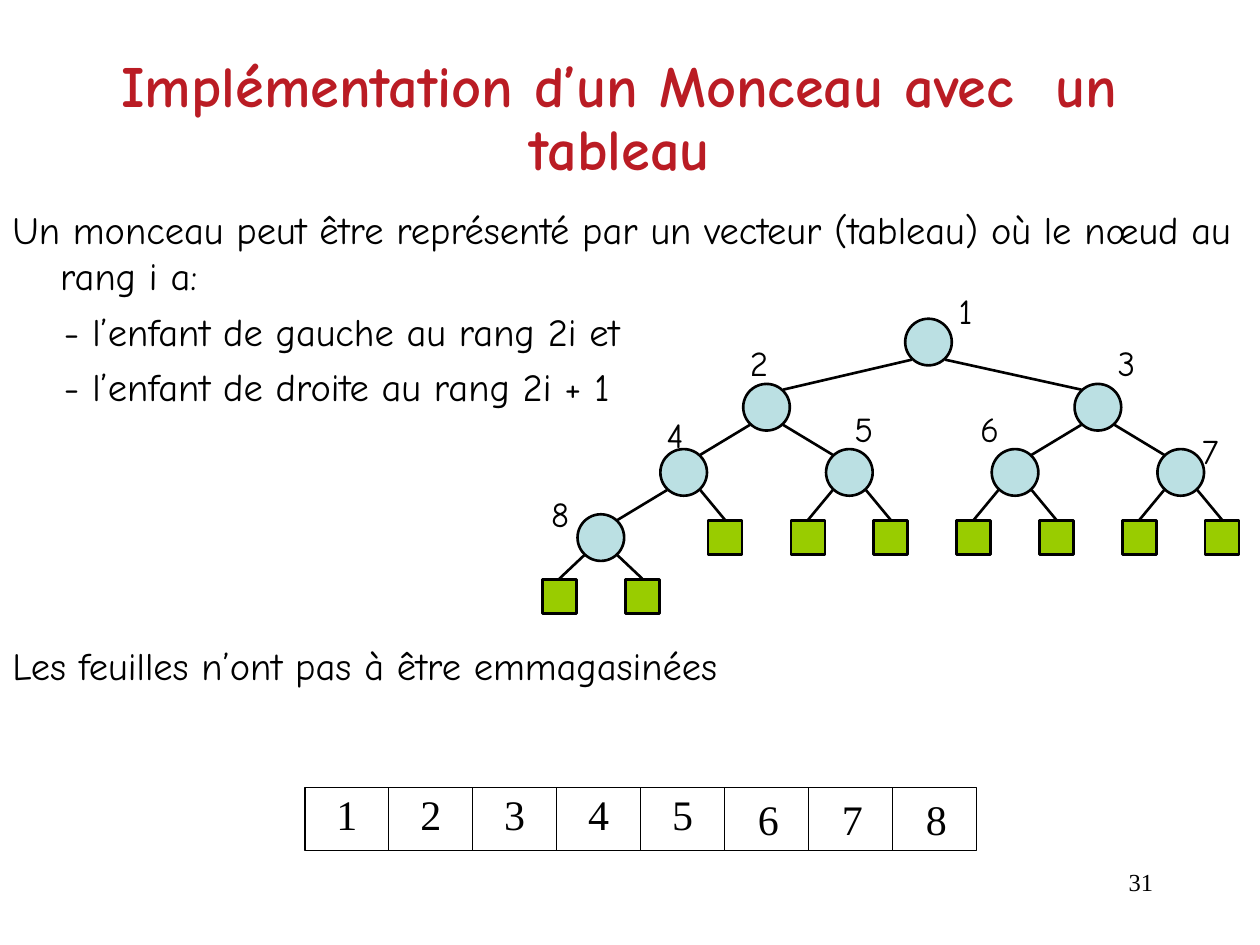
from pptx import Presentation
from pptx.dml.color import RGBColor
from pptx.enum.shapes import MSO_CONNECTOR, MSO_SHAPE
from pptx.enum.text import MSO_ANCHOR, MSO_AUTO_SIZE, PP_ALIGN
from pptx.oxml.ns import qn
from pptx.util import Inches, Pt
from lxml.etree import SubElement

WIDE, HIGH = 10, 7.5
BLACK = RGBColor(0, 0, 0)
RED = RGBColor(0xBA, 0x1C, 0x24)
BLUE = RGBColor(0xBB, 0xE0, 0xE3)
GREEN = RGBColor(0x99, 0xCC, 0x00)
COMIC, TIMES = "Comic Neue", "Times New Roman"

TITLE = "Implémentation d’un Monceau avec  un tableau"
BODY = [
    ("Un monceau peut être représenté par un vecteur (tableau) "
     "où le nœud au rang i a:", 0.38, -0.38, 0),
    ("- l’enfant de gauche au rang 2i et", 0.41, 0, 5.5),
    ("- l’enfant de droite au rang 2i + 1", 0.41, 0, 5.5),
    ("Les feuilles n’ont pas à être emmagasinées", 0.38, -0.38, 133),
]
COUNT = 8
COLS = [8.91, 5, 13, 3, 7, 11, 15, 1, 4, 6, 8, 10, 12, 14, 16, 0, 2]
ROWS = [0, 1, 2, 3, 3.9]
TAGS = [(0.43, -0.9), (-0.7, -1.11), (0.18, -1.11), (-0.71, -1),
        (-0.18, -1.09), (-1.14, -1.09), (0.21, -0.76), (-1.5, -0.79)]


def put(item, **vals):
    """Set each given attribute on the item."""
    for name, val in vals.items():
        setattr(item, name, val)


def ink(para, face, size, color=BLACK, bold=False):
    """Format the font of a paragraph."""
    put(para.font, name=face, size=Pt(size), bold=bold)
    para.font.color.rgb = color


def share(left, top, width, height):
    """Turn shares of the slide into a box in inches."""
    return left * WIDE, top * HIGH, width * WIDE, height * HIGH


def emu(box):
    """Turn a box in inches into lengths."""
    return [Inches(val) for val in box]


def label(slide, box, text, face, size, align=PP_ALIGN.LEFT, wrap=False):
    """Add one line of text in the box."""
    frame = slide.shapes.add_textbox(*emu(box)).text_frame
    frame.word_wrap = wrap
    para = frame.paragraphs[0]
    put(para, text=text, alignment=align)
    ink(para, face, size)


def shape(slide, kind, box, weight, fill=None):
    """Add an outlined preset shape in the box."""
    item = slide.shapes.add_shape(kind, *emu(box))
    item.shadow.inherit = False
    if fill is None:
        item.fill.background()
    else:
        item.fill.solid()
        item.fill.fore_color.rgb = fill
    item.line.color.rgb = BLACK
    item.line.width = Pt(weight)
    return item


def edge(slide, start, end):
    """Join two points with a line."""
    line = slide.shapes.add_connector(
        MSO_CONNECTOR.STRAIGHT, *emu((*start, *end)))
    SubElement(line._element.spPr, qn("a:effectLst"))
    line.line.color.rgb = BLACK
    line.line.width = Pt(1.5)


def head(slide, box):
    """Place and format the title."""
    title = slide.shapes.title
    put(title, **dict(zip(("left", "top", "width", "height"), emu(box))))
    frame = title.text_frame
    put(frame, text=TITLE, word_wrap=True, auto_size=MSO_AUTO_SIZE.NONE,
        vertical_anchor=MSO_ANCHOR.MIDDLE)
    para = frame.paragraphs[0]
    put(para, alignment=PP_ALIGN.CENTER, line_spacing=0.9, space_before=Pt(0))
    ink(para, COMIC, 33.3, RED, True)


def body(slide, box):
    """Write the paragraphs of the text."""
    frame = slide.shapes.add_textbox(*emu(box)).text_frame
    frame.word_wrap = True
    for num, (text, left, first, gap) in enumerate(BODY):
        para = frame.add_paragraph() if num else frame.paragraphs[0]
        put(para, text=text, space_before=Pt(gap))
        props = para._p.get_or_add_pPr()
        props.set("marL", str(Inches(left)))
        props.set("indent", str(Inches(first)))
        ink(para, COMIC, 22)


def tree(slide, box):
    """Draw the heap: edges, then nodes and leaves, then ranks."""
    left, top, width, height = box
    col, row = width / max(COLS), height / max(ROWS)
    spots = {rank: (left + x * col, top + ROWS[rank.bit_length() - 1] * row)
             for rank, x in enumerate(COLS, 1)}
    dx, dy = 0.4 * col, 0.27 * row
    for rank in range(2, len(COLS) + 1):
        side = 1 if rank % 2 else -1
        x, y = spots[rank // 2]
        kx, ky = spots[rank]
        shift = side * dx if rank <= COUNT else 0
        edge(slide, (x + side * dx, y + dy), (kx - shift, ky - dy))
    for rank, (x, y) in spots.items():
        node = rank <= COUNT
        size = 0.37 if node else 0.27
        kind = MSO_SHAPE.OVAL if node else MSO_SHAPE.RECTANGLE
        shape(slide, kind, (x - size / 2, y - size / 2, size, size), 1.5,
              BLUE if node else GREEN)
    for rank, (right, down) in enumerate(TAGS, 1):
        x, y = spots[rank]
        label(slide, (x + right * col, y + down * row, 0.34, 0.44),
              str(rank), COMIC, 20)


def array(slide, box):
    """Draw the row of numbered cells."""
    left, top, width, height = box
    step = width / COUNT
    for num in range(COUNT):
        late = num >= 5
        cell = shape(slide, MSO_SHAPE.RECTANGLE,
                     (left + num * step, top, step, height), 0.75)
        frame = cell.text_frame
        put(frame, margin_left=Inches(0.03 if late else 0), margin_right=0,
            margin_top=Inches(0.05 if late else 0.01), margin_bottom=0,
            vertical_anchor=MSO_ANCHOR.TOP)
        para = frame.paragraphs[0]
        put(para, text=str(num + 1), alignment=PP_ALIGN.CENTER)
        ink(para, TIMES, 24)


def main():
    """Build the slide and save it."""
    deck = Presentation()
    put(deck, slide_width=Inches(WIDE), slide_height=Inches(HIGH))
    slide = deck.slides.add_slide(deck.slide_layouts[5])
    head(slide, share(0.067, 0.044, 0.85, 0.167))
    body(slide, share(0, 0.211, 1, 0.55))
    tree(slide, share(0.444, 0.362, 0.526, 0.269))
    array(slide, share(0.242, 0.833, 0.533, 0.067))
    label(slide, share(0.717, 0.911, 0.208, 0.067), "31", TIMES, 14,
          PP_ALIGN.RIGHT, True)
    deck.save("out.pptx")


if __name__ == "__main__":
    main()
